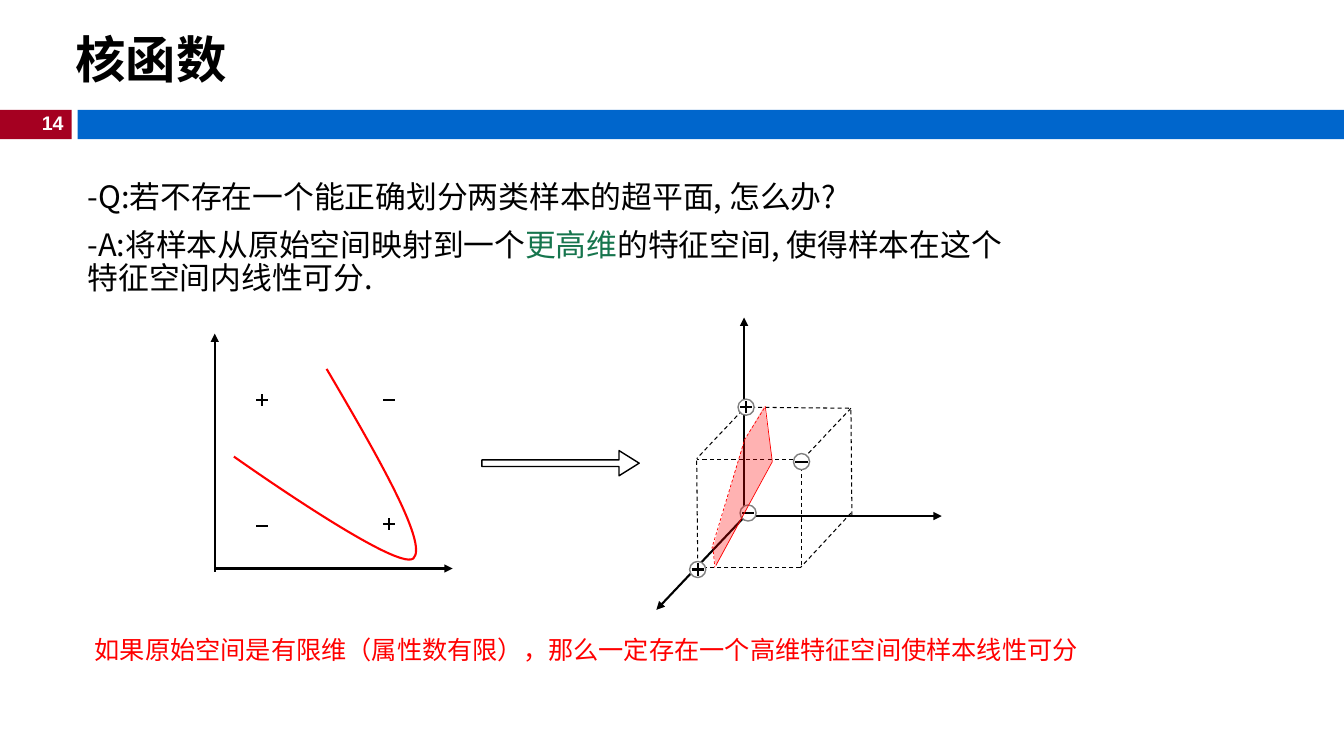
"""Build the kernel function slide with its plane and cube sketches."""
import dataclasses
import typing

import lxml.etree
import pptx
import pptx.dml.color
import pptx.enum.dml
import pptx.enum.shapes
import pptx.enum.text
import pptx.oxml.ns
import pptx.util

Inches = pptx.util.Inches
Point = tuple[float, float]
SHAPES = pptx.enum.shapes.MSO_SHAPE
ALIGN = pptx.enum.text.PP_ALIGN
ANCHOR = pptx.enum.text.MSO_ANCHOR


@dataclasses.dataclass(frozen=True)
class Theme:
    black: str = "000000"
    white: str = "FFFFFF"
    red: str = "FF0000"
    gray: str = "808080"
    green: str = "16754D"
    wine: str = "A50021"
    blue: str = "0066CC"
    latin: str = "Arial"
    asian: str = "Noto Sans CJK SC"
    title: float = 36
    body: float = 22
    note: float = 18
    number: float = 14
    thick: float = 1.5
    rim: float = 1
    thin: float = 0.75
    hair: float = 0.5


THEME = Theme()


class Box(typing.NamedTuple):
    left: float
    top: float
    width: float
    height: float


class Line(typing.NamedTuple):
    start: Point
    end: Point
    color: str = THEME.black
    width: float = THEME.thick
    dash: bool = False
    arrow: bool = False


class Sign(typing.NamedTuple):
    x: float
    y: float
    plus: bool


class Run(typing.NamedTuple):
    text: str
    color: str = THEME.black


AXES = [
    Line((2.13, 5.67), (2.13, 3.31), arrow=True),
    Line((2.13, 5.64), (4.49, 5.64), arrow=True),
    Line((7.38, 5.12), (7.38, 3.15), arrow=True),
    Line((7.38, 5.12), (9.34, 5.12), arrow=True),
    Line((7.39, 5.12), (6.51, 6.05), arrow=True),
]
EDGES = [
    Line(start, end, width=THEME.thin, dash=True)
    for start, end in [
        ((7.41, 4.02), (6.91, 4.55)), ((6.91, 4.57), (6.92, 5.54)),
        ((8.44, 4.07), (8.45, 5.13)), ((8.42, 4.05), (7.4, 4.04)),
        ((7.94, 5.63), (6.91, 5.63)), ((8.44, 5.09), (7.94, 5.63)),
        ((7.94, 4.56), (6.91, 4.56)), ((7.95, 4.56), (7.95, 5.63)),
        ((8.44, 4.05), (7.94, 4.58)),
    ]
]
RIMS = [
    Line(start, end, THEME.red, THEME.hair, dash)
    for start, end, dash in [
        ((7.59, 4.03), (7.66, 4.58), False), ((7.66, 4.58), (7.1, 5.61), False),
        ((7.58, 4.05), (7.38, 4.37), True), ((7.07, 5.42), (7.09, 5.63), True),
        ((7.38, 4.38), (7.06, 5.44), True),
    ]
]
SIGNS = [Sign(3.86, 5.2, True), Sign(2.6, 3.97, True),
         Sign(3.86, 3.97, False), Sign(2.6, 5.22, False)]
NODES = [Sign(6.92, 5.65, True), Sign(7.4, 4.04, True),
         Sign(7.95, 4.58, False), Sign(7.42, 5.09, False)]
PLANE = [(7.58, 4.03), (7.66, 4.57), (7.1, 5.62), (7.07, 5.44), (7.38, 4.37)]
CURVE = [(3.24, 3.66), (3.75, 4.53), (4.25, 5.4), (4.1, 5.54),
         (3.94, 5.68), (2.32, 4.53), (2.32, 4.53)]


def rgb(code: str) -> pptx.dml.color.RGBColor:
    return pptx.dml.color.RGBColor.from_string(code)


def add(parent, tag: str, **attrs: str):
    return lxml.etree.SubElement(parent, pptx.oxml.ns.qn(tag), **attrs)


def paint(shape, fill: str | None = None, line: str | None = None,
          width: float = THEME.rim) -> None:
    shape.shadow.inherit = False
    if fill:
        shape.fill.solid()
        shape.fill.fore_color.rgb = rgb(fill)
    else:
        shape.fill.background()
    if line:
        shape.line.color.rgb = rgb(line)
        shape.line.width = pptx.util.Pt(width)
    else:
        shape.line.fill.background()


def block(slide, kind, box: Box, **style):
    shape = slide.shapes.add_shape(kind, *map(Inches, box))
    paint(shape, **style)
    return shape


def write(slide, box: Box, paras: list[list[Run]], *, size: float,
          font: str = THEME.latin, bold: bool = False, align=ALIGN.LEFT,
          anchor=ANCHOR.TOP, wrap: bool = True, pitch: float = 1,
          gap: float = 0) -> None:
    frame = slide.shapes.add_textbox(*map(Inches, box)).text_frame
    frame.word_wrap = wrap
    frame.vertical_anchor = anchor
    for index, runs in enumerate(paras):
        para = frame.add_paragraph() if index else frame.paragraphs[0]
        para.alignment = align
        para.line_spacing = pitch
        para.space_before = pptx.util.Pt(gap if index else 0)
        for item in runs:
            run = para.add_run()
            run.text = item.text
            run.font.name = font
            run.font.size = pptx.util.Pt(size)
            run.font.bold = bold
            run.font.color.rgb = rgb(item.color)
            add(run.font._element, "a:ea", typeface=THEME.asian)


def draw(slide, line: Line) -> None:
    link = slide.shapes.add_connector(
        pptx.enum.shapes.MSO_CONNECTOR.STRAIGHT,
        *map(Inches, line.start + line.end))
    link.line.color.rgb = rgb(line.color)
    link.line.width = pptx.util.Pt(line.width)
    if line.dash:
        link.line.dash_style = pptx.enum.dml.MSO_LINE.DASH
    if line.arrow:
        add(link.line._get_or_add_ln(), "a:tailEnd", type="triangle")
    add(link._element.spPr, "a:effectLst")


def mark(slide, sign: Sign, arm: float = 0.06) -> None:
    x, y = sign.x, sign.y
    draw(slide, Line((x - arm, y), (x + arm, y)))
    if sign.plus:
        draw(slide, Line((x, y - arm), (x, y + arm)))


def node(slide, sign: Sign, size: float = 0.16) -> None:
    box = Box(sign.x - size / 2, sign.y - size / 2, size, size)
    block(slide, SHAPES.OVAL, box, fill=THEME.white, line=THEME.gray)
    mark(slide, sign)


def trace(slide, points: list[Point], close: bool):
    spots = [(Inches(x), Inches(y)) for x, y in points]
    pen = slide.shapes.build_freeform(*spots[0])
    pen.add_line_segments(spots[1:], close=close)
    return pen.convert_to_shape()


def curve(slide, points: list[Point]) -> None:
    shape = trace(slide, points, False)
    paint(shape, line=THEME.red, width=THEME.thick)
    steps = list(shape._element.iter(pptx.oxml.ns.qn("a:lnTo")))
    route = steps[0].getparent()
    for first in range(0, len(steps), 3):
        bend = add(route, "a:cubicBezTo")
        for step in steps[first:first + 3]:
            bend.append(step[0])
            route.remove(step)


def plane(slide, points: list[Point]) -> None:
    shape = trace(slide, points, True)
    paint(shape, fill=THEME.red)
    tint = next(shape._element.spPr.iter(pptx.oxml.ns.qn("a:srgbClr")))
    add(tint, "a:alpha", val="30000")


def main() -> None:
    deck = pptx.Presentation()
    deck.slide_width, deck.slide_height = Inches(13.33), Inches(7.5)
    slide = deck.slides.add_slide(deck.slide_layouts[6])
    block(slide, SHAPES.RECTANGLE, Box(0, 1.09, 0.71, 0.29), fill=THEME.wine)
    block(slide, SHAPES.RECTANGLE, Box(0.77, 1.09, 12.56, 0.29), fill=THEME.blue)
    write(slide, Box(0.29, 1.05, 0.44, 0.34), [[Run("14", THEME.white)]],
          size=THEME.number, bold=True, align=ALIGN.RIGHT, wrap=False)
    write(slide, Box(0.65, 0.11, 9.54, 0.94), [[Run("核函数")]],
          size=THEME.title, bold=True, anchor=ANCHOR.MIDDLE)
    write(slide, Box(0.77, 1.76, 9.42, 5.39), [
        [Run("-Q:若不存在一个能正确划分两类样本的超平面, 怎么办?")],
        [Run("-A:将样本从原始空间映射到一个"), Run("更高维", THEME.green),
         Run("的特征空间, 使得样本在这个特征空间内线性可分.")],
    ], size=THEME.body, font=THEME.asian, pitch=0.9, gap=10)
    for line in AXES + EDGES:
        draw(slide, line)
    for sign in SIGNS:
        mark(slide, sign)
    curve(slide, CURVE)
    for sign in NODES:
        node(slide, sign)
    for line in RIMS:
        draw(slide, line)
    plane(slide, PLANE)
    arrow = block(slide, SHAPES.RIGHT_ARROW, Box(4.78, 4.47, 1.56, 0.25),
                  line=THEME.black)
    arrow.adjustments[0], arrow.adjustments[1] = 0.26, 0.8
    write(slide, Box(0.84, 6.24, 10.05, 0.4), [[Run(
        "如果原始空间是有限维（属性数有限），那么一定存在一个高维特征空间使样本线性可分",
        THEME.red)]], size=THEME.note)
    deck.save("out.pptx")


if __name__ == "__main__":
    main()
